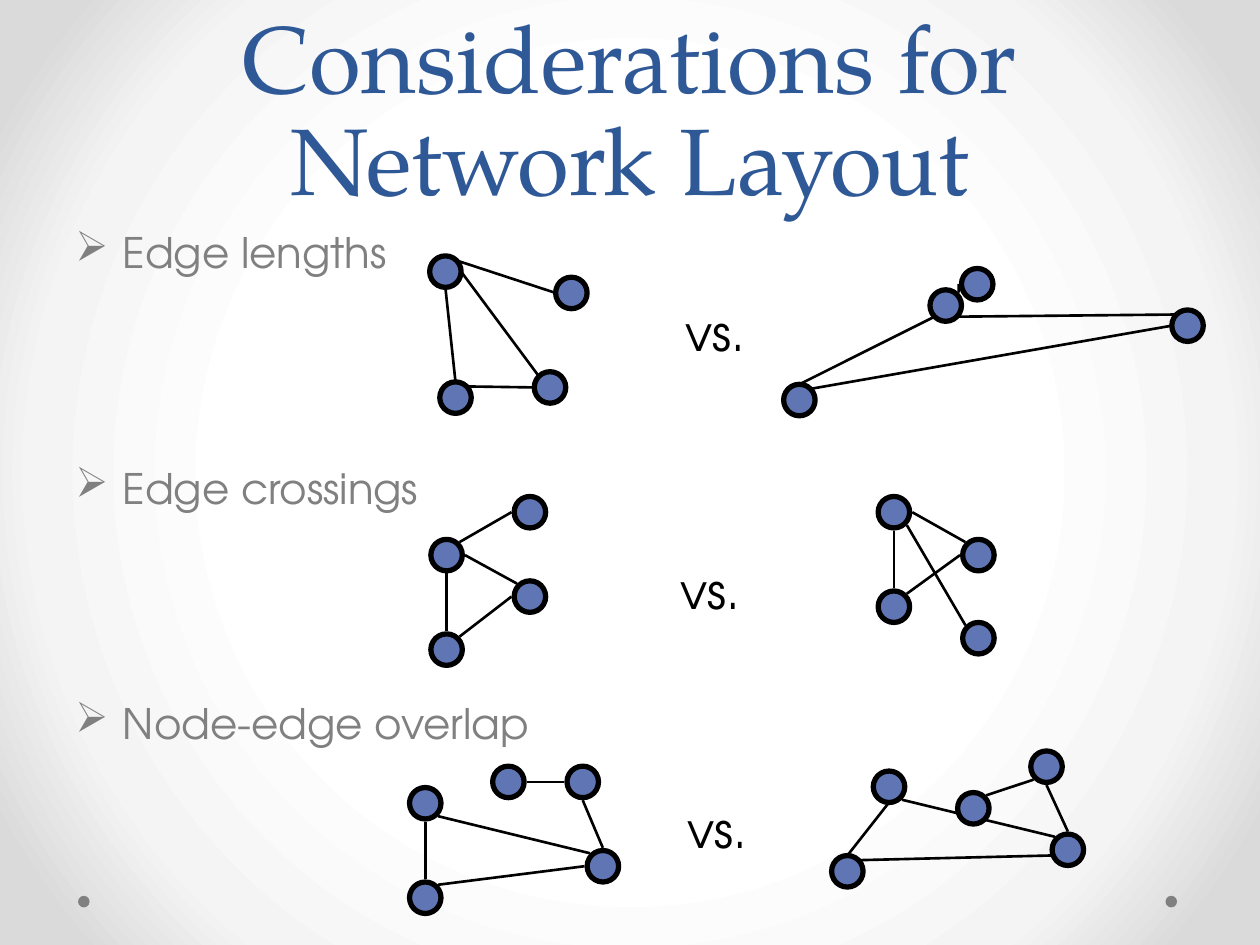
from math import sqrt

from lxml.etree import SubElement
from pptx import Presentation
from pptx.dml.color import RGBColor
from pptx.enum.shapes import MSO_CONNECTOR as Connector, MSO_SHAPE as Shape
from pptx.enum.text import MSO_ANCHOR as Anchor, MSO_AUTO_SIZE as AutoSize, PP_ALIGN as Align
from pptx.oxml import parse_xml
from pptx.oxml.ns import nsdecls, qn
from pptx.util import Pt

TITLE_BLUE = RGBColor(0x2F, 0x58, 0x97)
NODE_BLUE = RGBColor(0x60, 0x76, 0xB4)
GRAY = RGBColor(0x80, 0x80, 0x80)
BLACK = RGBColor(0, 0, 0)
SERIF, SANS = "TeX Gyre Pagella", "TeX Gyre Adventor"

TITLE = "Considerations for Network Layout"
CRITERIA = ["Edge lengths", "Edge crossings", "Node-edge overlap"]
VERSUS_CORNERS = [(384.5, 169.2), (381.6, 316.8), (385.9, 453.6)]
FOOTER_DOTS = [(44.6, 511.9), (666, 511.9)]
BACKDROP_STOPS = [(50, "FFFFFF"), (76, "F4F4F4"), (92, "DADADA")]

RADIUS, OUTLINE = 9, 3
CLEAR = OUTLINE / 2  # an edge that stops at the outer rim of the outline
FLUSH = 0            # an edge that stops on the circle itself

# Directions from a node's centre to the point where an edge meets it
DIAGONAL = 1 / sqrt(2)
SITES = {
    "T": (0, -1), "B": (0, 1), "L": (-1, 0), "R": (1, 0),
    "TL": (-DIAGONAL, -DIAGONAL), "TR": (DIAGONAL, -DIAGONAL),
    "BL": (-DIAGONAL, DIAGONAL), "BR": (DIAGONAL, DIAGONAL),
    "L-low": (-1, 0.36),
}

# Nodes: name -> centre; edges: node, site, node, site, gap
NETWORKS = [
    ({"a": (254.5, 155.2), "b": (326.5, 167.4), "c": (314.3, 221.4), "d": (260.3, 227.2)},
     [("d", "T", "a", "B", FLUSH), ("a", "TR", "b", "L", FLUSH),
      ("d", "TR", "c", "L", FLUSH), ("a", "R", "c", "TL", FLUSH)]),
    ({"a": (540.4, 174.6), "b": (558.4, 162.4), "c": (678.6, 186.1), "d": (456.8, 228.6)},
     [("d", "T", "a", "BL", FLUSH), ("a", "TR", "b", "L", CLEAR),
      ("d", "TR", "c", "L", FLUSH), ("a", "BR", "c", "TL", FLUSH)]),
    ({"a": (255.2, 317.2), "b": (302.8, 292.7), "c": (302.8, 340.9), "d": (255.2, 371.2)},
     [("d", "T", "a", "B", CLEAR), ("a", "TR", "b", "L", CLEAR),
      ("d", "TR", "c", "L", CLEAR), ("a", "R", "c", "TL", CLEAR)]),
    ({"a": (510.8, 292.7), "b": (559.1, 364.7), "c": (559.1, 317.2), "d": (510.8, 346.7)},
     [("d", "T", "a", "B", CLEAR), ("a", "BR", "b", "TL", CLEAR),
      ("d", "TR", "c", "L", CLEAR), ("a", "R", "c", "TL", CLEAR)]),
    ({"a": (243, 459), "c": (344.5, 495), "d": (243, 513), "e": (290.5, 446.8),
      "f": (333, 446.8)},
     [("d", "T", "a", "B", CLEAR), ("d", "TR", "c", "L", CLEAR), ("a", "BR", "c", "TL", CLEAR),
      ("e", "R", "f", "L", CLEAR), ("f", "B", "c", "T", CLEAR)]),
    ({"a": (508, 449.6), "c": (610.2, 485.6), "d": (484.2, 497.9), "e": (556.2, 461.9),
      "f": (598, 438.1)},
     [("d", "T", "a", "B", FLUSH), ("d", "TR", "c", "L-low", FLUSH),
      ("a", "BR", "c", "TL", CLEAR), ("e", "TR", "f", "BL", CLEAR),
      ("f", "B", "c", "T", CLEAR)]),
]


def paint_backdrop(page):
    """Fill the page with a gradient that spreads from its centre."""
    page.background.fill.solid()
    properties = page.background._cSld.find(qn("p:bg")).find(qn("p:bgPr"))
    stops = "".join(f'<a:gs pos="{percent * 1000}"><a:srgbClr val="{color}"/></a:gs>'
                    for percent, color in BACKDROP_STOPS)
    gradient = parse_xml(
        f'<a:gradFill {nsdecls("a")} rotWithShape="1"><a:gsLst>{stops}</a:gsLst>'
        '<a:path path="circle"><a:fillToRect l="50000" t="50000" r="50000" b="50000"/></a:path>'
        '</a:gradFill>')
    properties.replace(properties.find(qn("a:solidFill")), gradient)


def add_text(page, lines, left, top, width, height, *, font, size, color, align=Align.LEFT,
             anchor=Anchor.TOP, line_spacing=None, gap=0, bullet=None, indent=0, grow=False):
    box = page.shapes.add_textbox(Pt(left), Pt(top), Pt(width), Pt(height))
    frame = box.text_frame
    frame.word_wrap = True
    frame.vertical_anchor = anchor
    frame.auto_size = AutoSize.SHAPE_TO_FIT_TEXT if grow else AutoSize.NONE
    for index, line in enumerate(lines):
        para = frame.add_paragraph() if index else frame.paragraphs[0]
        para.alignment = align
        if line_spacing:
            para.line_spacing = Pt(line_spacing)
        if index:
            para.space_before = Pt(gap)
        if bullet:
            properties = para._p.get_or_add_pPr()
            properties.set("marL", str(Pt(indent)))
            properties.set("indent", str(-Pt(indent)))
            SubElement(properties, qn("a:buChar")).set("char", bullet)
        span = para.add_run()
        span.text = line
        span.font.name, span.font.size = font, Pt(size)
        span.font.color.rgb = color


def add_disc(shapes, center_x, center_y, radius, color, outline=0):
    disc = shapes.add_shape(Shape.OVAL, Pt(center_x - radius), Pt(center_y - radius),
                            Pt(2 * radius), Pt(2 * radius))
    disc.shadow.inherit = False
    disc.fill.solid()
    disc.fill.fore_color.rgb = color
    if outline:
        disc.line.color.rgb = BLACK
        disc.line.width = Pt(outline)
    else:
        disc.line.fill.background()


def edge_end(center, site, gap):
    return [Pt(middle + step * (RADIUS + gap)) for middle, step in zip(center, SITES[site])]


def add_network(page, nodes, edges):
    shapes = page.shapes.add_group_shape().shapes
    for start, start_site, end, end_site, gap in edges:
        edge = shapes.add_connector(Connector.STRAIGHT,
                                    *edge_end(nodes[start], start_site, gap),
                                    *edge_end(nodes[end], end_site, gap))
        edge.line.color.rgb = BLACK
        edge.line.width = Pt(1.5)
        SubElement(edge._element.spPr, qn("a:effectLst"))
    for center in nodes.values():
        add_disc(shapes, *center, RADIUS, NODE_BLUE, OUTLINE)


def main():
    deck = Presentation()
    deck.slide_width, deck.slide_height = Pt(720), Pt(540)
    page = deck.slides.add_slide(deck.slide_layouts[6])
    paint_backdrop(page)
    for dot in FOOTER_DOTS:
        add_disc(page.shapes, dot[0] + 3.3, dot[1] + 3.3, 3.3, GRAY)
    add_text(page, [TITLE], 36, 0, 648, 126, font=SERIF, size=54, color=TITLE_BLUE,
             align=Align.CENTER, anchor=Anchor.BOTTOM, line_spacing=58)
    add_text(page, CRITERIA, 36, 126, 648, 356.4, font=SANS, size=24, color=GRAY,
             gap=105.8, bullet="➢", indent=27)
    for nodes, edges in NETWORKS:
        add_network(page, nodes, edges)
    for left, top in VERSUS_CORNERS:
        add_text(page, ["vs."], left, top, 50.4, 41, font=SANS, size=28, color=BLACK, grow=True)
    deck.save("out.pptx")


if __name__ == "__main__":
    main()
